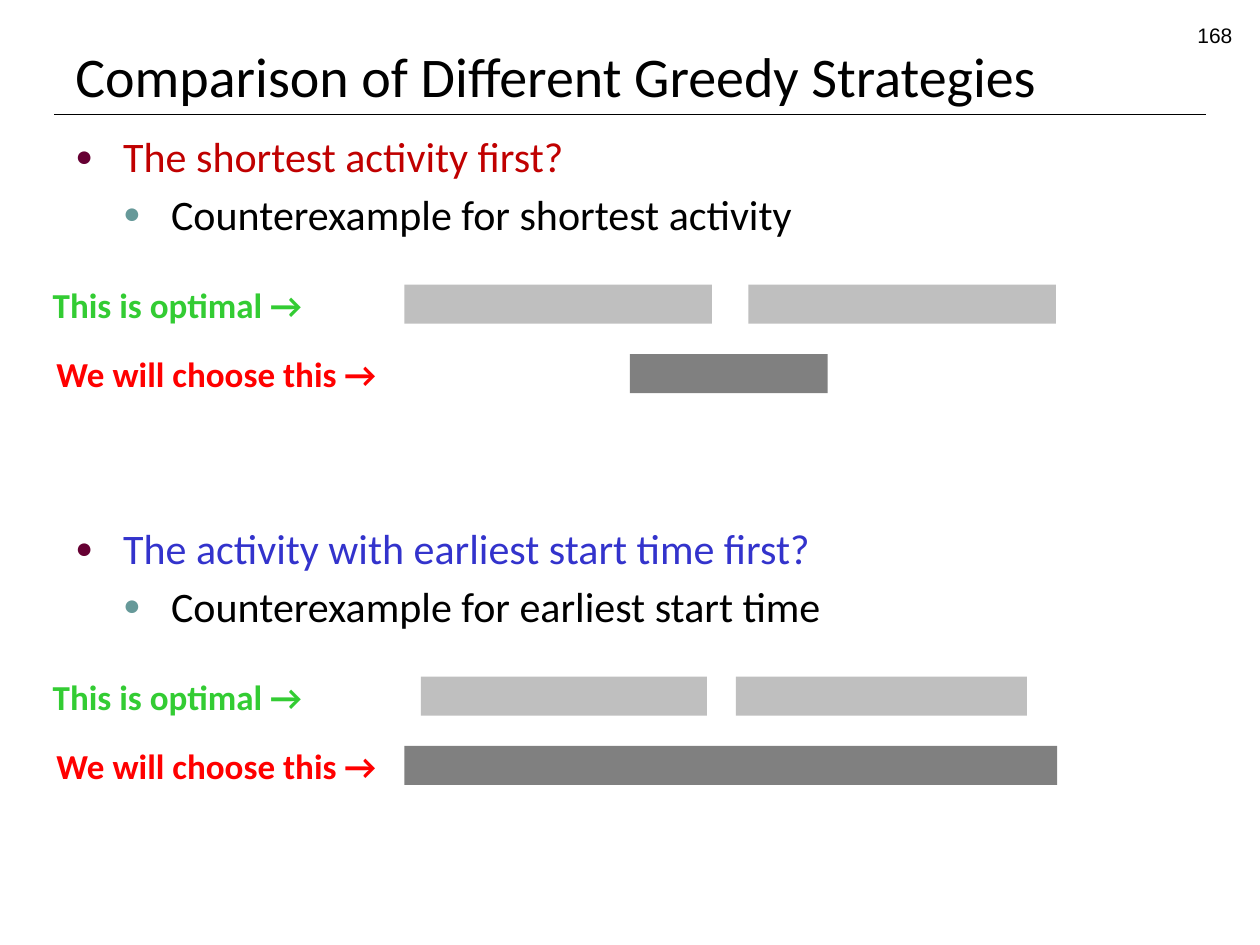
from dataclasses import dataclass

from lxml import etree
from pptx import Presentation
from pptx.dml.color import RGBColor
from pptx.enum.shapes import MSO_CONNECTOR, MSO_SHAPE
from pptx.enum.text import MSO_ANCHOR, PP_ALIGN
from pptx.oxml.ns import qn
from pptx.util import Inches, Pt

LINE = MSO_CONNECTOR.STRAIGHT
RECTANGLE = MSO_SHAPE.RECTANGLE
TOP, BOTTOM = MSO_ANCHOR.TOP, MSO_ANCHOR.BOTTOM
LEFT, RIGHT, JUSTIFY = PP_ALIGN.LEFT, PP_ALIGN.RIGHT, PP_ALIGN.JUSTIFY


@dataclass(frozen=True)
class Theme:
    font: str = "Calibri"
    number_font: str = "Arial"
    title_size: int = 32
    body_size: int = 24
    label_size: int = 20
    number_size: int = 12
    text: str = "000000"
    optimal_label: str = "33CC33"
    chosen_label: str = "FF0000"
    optimal_bar: str = "BFBFBF"
    chosen_bar: str = "808080"
    bullets: tuple[str, str] = ("660033", "669999")


@dataclass(frozen=True)
class Bar:
    left: float
    width: float


@dataclass(frozen=True)
class Strategy:
    top: float
    question: str
    question_color: str
    counterexample: str
    optimal: tuple[Bar, ...]
    chosen: Bar


THEME = Theme()
STRATEGIES = (
    Strategy(0.99, "The shortest activity first?", "C00000",
             "Counterexample for shortest activity",
             (Bar(3.21, 2.44), Bar(5.94, 2.44)), Bar(5, 1.57)),
    Strategy(4.1, "The activity with earliest start time first?", "3333CC",
             "Counterexample for earliest start time",
             (Bar(3.34, 2.27), Bar(5.84, 2.31)), Bar(3.21, 5.18)),
)
# Offsets from the top of a strategy
OPTIMAL_ROW, ROW_STEP, LABEL_RISE = 1.27, 0.55, 0.06
BAR_HEIGHT = 0.31
INDENT = 0.38


def add_box(slide, left: float, top: float, width: float, height: float,
            anchor=TOP, wrap: bool = True):
    box = slide.shapes.add_textbox(Inches(left), Inches(top), Inches(width), Inches(height))
    box.text_frame.word_wrap = wrap
    box.text_frame.vertical_anchor = anchor
    return box.text_frame


def add_run(paragraph, text: str, size: int, color: str,
            font: str = THEME.font, bold: bool = False, align=LEFT) -> None:
    paragraph.alignment = align
    run = paragraph.add_run()
    run.text = text
    run.font.size = Pt(size)
    run.font.name = font
    run.font.bold = bold
    run.font.color.rgb = RGBColor.from_string(color)


def add_bullet(paragraph, level: int) -> None:
    paragraph.level = level
    properties = paragraph._p.get_or_add_pPr()
    properties.set("marL", str(Inches(INDENT * (level + 1))))
    properties.set("indent", str(-Inches(INDENT)))
    color = etree.SubElement(properties, qn("a:buClr"))
    etree.SubElement(color, qn("a:srgbClr"), val=THEME.bullets[level])
    etree.SubElement(properties, qn("a:buSzPct"), val="70000")
    etree.SubElement(properties, qn("a:buFont"), typeface=THEME.number_font)
    etree.SubElement(properties, qn("a:buChar"), char="●")


def add_bar(slide, bar: Bar, top: float, color: str) -> None:
    shape = slide.shapes.add_shape(RECTANGLE, Inches(bar.left), Inches(top),
                                   Inches(bar.width), Inches(BAR_HEIGHT))
    shape.shadow.inherit = False
    shape.fill.solid()
    shape.fill.fore_color.rgb = RGBColor.from_string(color)
    shape.line.fill.background()


def add_strategy(slide, strategy: Strategy) -> None:
    # Question and counterexample
    frame = add_box(slide, 0.5, strategy.top, 9, 0.99)
    question = frame.paragraphs[0]
    add_bullet(question, 0)
    add_run(question, strategy.question, THEME.body_size, strategy.question_color, align=JUSTIFY)
    counterexample = frame.add_paragraph()
    add_bullet(counterexample, 1)
    counterexample.space_before = Pt(4)
    add_run(counterexample, strategy.counterexample, THEME.body_size, THEME.text, align=JUSTIFY)

    # Activity bars
    optimal_top = strategy.top + OPTIMAL_ROW
    chosen_top = optimal_top + ROW_STEP
    for bar in strategy.optimal:
        add_bar(slide, bar, optimal_top, THEME.optimal_bar)
    add_bar(slide, strategy.chosen, chosen_top, THEME.chosen_bar)

    # Row labels
    optimal = add_box(slide, 0.32, optimal_top - LABEL_RISE, 2.27, 0.44)
    add_run(optimal.paragraphs[0], "This is optimal →", THEME.label_size,
            THEME.optimal_label, bold=True)
    chosen = add_box(slide, 0.35, chosen_top - LABEL_RISE, 2.76, 0.44, wrap=False)
    add_run(chosen.paragraphs[0], "We will choose this →", THEME.label_size,
            THEME.chosen_label, bold=True)


def add_header(slide) -> None:
    rule = slide.shapes.add_connector(LINE, Inches(0.43), Inches(0.91), Inches(9.57), Inches(0.91))
    rule.line.color.rgb = RGBColor.from_string(THEME.text)
    rule.line.width = Pt(0.75)
    etree.SubElement(rule._element.spPr, qn("a:effectLst"))

    title = add_box(slide, 0.5, 0.13, 9, 0.78, anchor=BOTTOM)
    add_run(title.paragraphs[0], "Comparison of Different Greedy Strategies",
            THEME.title_size, THEME.text)
    number = add_box(slide, 7.55, 0.13, 2.33, 0.28)
    add_run(number.paragraphs[0], "168", THEME.number_size, THEME.text,
            font=THEME.number_font, align=RIGHT)


def main() -> None:
    presentation = Presentation()
    presentation.slide_width = Inches(10)
    presentation.slide_height = Inches(7.5)
    slide = presentation.slides.add_slide(presentation.slide_layouts[6])
    add_header(slide)
    for strategy in STRATEGIES:
        add_strategy(slide, strategy)
    presentation.save("out.pptx")


if __name__ == "__main__":
    main()
